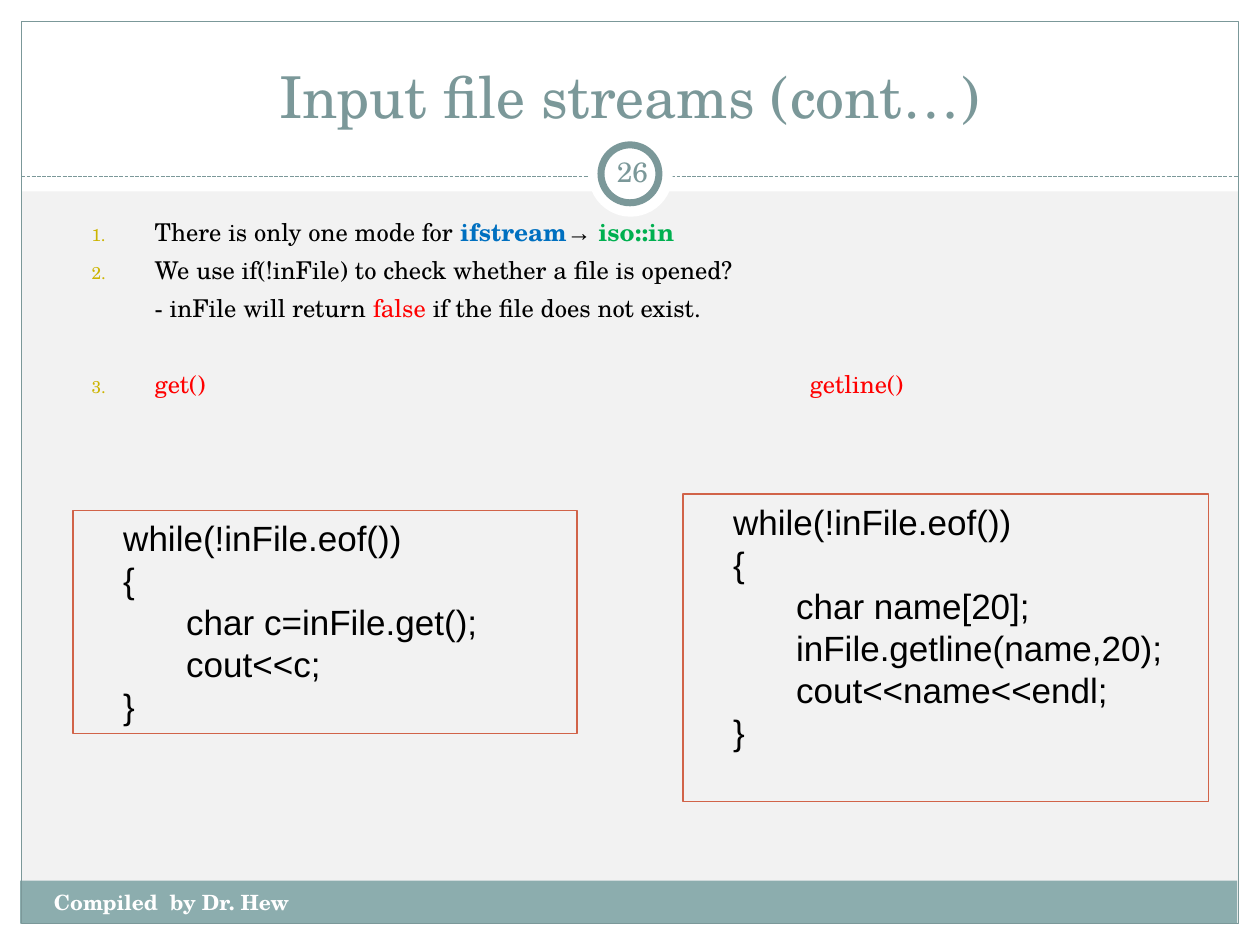
from lxml import etree
from pptx import Presentation, util as u
from pptx.dml.color import RGBColor
from pptx.enum import dml, shapes, text
from pptx.oxml import ns

SERIF, SANS = "TeX Gyre Schola", "Arial"
SLATE, TEAL, RUST = "7B9899", "8CADAE", "D16349"
WHITE, PAPER, BLACK, RED = "FFFFFF", "F2F2F2", "000000", "FF0000"
BLUE, GREEN, GOLD = "0070C0", "00B050", "CCB400"


def colour(value):
    return RGBColor.from_string(value)


def add_child(parent, tag, **attributes):
    return etree.SubElement(parent, ns.qn(tag), attributes)


def add_tab(para, position):
    stops = add_child(para._p.get_or_add_pPr(), "a:tabLst")
    add_child(stops, "a:tab", pos=str(u.Inches(position)), algn="l")


def indent(para, margin, first=0):
    properties = para._p.get_or_add_pPr()
    properties.set("marL", str(u.Inches(margin)))
    properties.set("indent", str(u.Inches(first)))


def number(para, start):
    properties = para._p.get_or_add_pPr()
    add_child(add_child(properties, "a:buClr"), "a:srgbClr", val=GOLD)
    add_child(properties, "a:buSzPct", val="70000")
    add_child(properties, "a:buAutoNum", type="arabicPeriod", startAt=str(start))


class SlideBuilder:
    def __init__(self, page):
        self.page = page
        page.background.fill.solid()
        page.background.fill.fore_color.rgb = colour(PAPER)

    def style(self, span, size, ink=BLACK, font=SERIF, bold=False):
        span.font.size = u.Pt(size)
        span.font.name = font
        span.font.bold = bold
        span.font.color.rgb = colour(ink)

    def shape(self, kind, place, fill=None, line=None, width=0.75):
        item = self.page.shapes.add_shape(kind, *map(u.Inches, place))
        item.shadow.inherit = False
        if fill:
            item.fill.solid()
            item.fill.fore_color.rgb = colour(fill)
        else:
            item.fill.background()
        if line:
            item.line.color.rgb = colour(line)
            item.line.width = u.Pt(width)
        else:
            item.line.fill.background()
        return item

    def rect(self, place, fill=None, line=None):
        return self.shape(shapes.MSO_SHAPE.RECTANGLE, place, fill, line)

    def circle(self, place, line=None):
        return self.shape(shapes.MSO_SHAPE.OVAL, place, WHITE, line, 4)

    def dashed_line(self, left, right, y):
        rule = self.page.shapes.add_connector(
            shapes.MSO_CONNECTOR.STRAIGHT, *map(u.Inches, (left, y, right, y)))
        rule.line.color.rgb = colour(SLATE)
        rule.line.width = u.Pt(0.75)
        rule.line.dash_style = dml.MSO_LINE.SQUARE_DOT
        add_child(rule._element.spPr, "a:effectLst")

    def frame(self, place, anchor=text.MSO_ANCHOR.TOP):
        box = self.page.shapes.add_textbox(*map(u.Inches, place))
        box.text_frame.word_wrap = True
        box.text_frame.vertical_anchor = anchor
        return box.text_frame

    def label(self, place, words, size, ink, align=text.PP_ALIGN.LEFT,
              anchor=text.MSO_ANCHOR.TOP, bold=False):
        frame = self.frame(place, anchor)
        frame.text = words
        para = frame.paragraphs[0]
        para.alignment = align
        self.style(para.runs[0], size, ink, bold=bold)
        return frame

    def numbered_list(self, place, items):
        """Each item is (number or None, space before, spans)."""
        frame = self.frame(place)
        for index, (start, gap, spans) in enumerate(items):
            para = frame.add_paragraph() if index else frame.paragraphs[0]
            para.space_before = u.Pt(gap)
            indent(para, 0.8, -0.5 if start else 0)
            if start:
                number(para, start)
                add_tab(para, 6)
            for words, *look in spans:
                span = para.add_run()
                span.text = words
                self.style(span, 14, *look)

    def code(self, place, source):
        frame = self.rect(place, line=RUST).text_frame
        frame.word_wrap = True
        frame.vertical_anchor = text.MSO_ANCHOR.TOP
        frame.text = source
        for para in frame.paragraphs:
            para.alignment = text.PP_ALIGN.LEFT
            indent(para, 0.3)
            add_tab(para, 1)
            self.style(para.runs[0], 20, font=SANS)


def main():
    deck = Presentation()
    deck.slide_width, deck.slide_height = u.Inches(10), u.Inches(7.5)
    slide = SlideBuilder(deck.slides.add_slide(deck.slide_layouts[6]))
    center, middle = text.PP_ALIGN.CENTER, text.MSO_ANCHOR.MIDDLE

    for margin in ((0, 7.33, 10, 0.17), (0, 0, 10, 1.52),
                   (0, 0, 0.17, 7.5), (9.83, 0, 0.17, 7.5)):
        slide.rect(margin, WHITE)
    slide.rect((0.16, 6.99, 9.66, 0.34), TEAL)
    slide.rect((0.17, 0.17, 9.66, 7.16), line=SLATE)
    slide.dashed_line(0.17, 9.83, 1.4)
    slide.circle((4.67, 1.05, 0.67, 0.67))
    slide.circle((4.77, 1.15, 0.46, 0.46), SLATE)

    slide.label((0.33, 0.25, 9.33, 0.83), "Input file streams (cont…)", 33, SLATE,
                center, text.MSO_ANCHOR.BOTTOM)
    slide.numbered_list((0.33, 1.67, 8.5, 2.08), [
        (1, 0, [("There is only one mode for ",), ("ifstream", BLUE, SERIF, True),
                ("→ ", BLACK, SANS), ("iso::in", GREEN, SERIF, True)]),
        (2, 5, [("We use if(!inFile) to check whether a file is opened?",)]),
        (None, 5, [("- inFile will return ",), ("false ", RED),
                   ("if the file does not exist.",)]),
        (3, 26.7, [("get()\tgetline()", RED)]),
    ])
    page_number = slide.label((4.77, 1.12, 0.5, 0.48), "26", 16, SLATE, center, middle)
    page_number.margin_left = page_number.margin_right = u.Inches(0.05)
    slide.label((0.33, 7.01, 3.17, 0.4), "Compiled  by Dr. Hew", 12, WHITE, bold=True)

    slide.code((0.58, 4.05, 4, 1.77),
               "while(!inFile.eof())\n{\n\tchar c=inFile.get();\n\tcout<<c;\n}")
    slide.code((5.42, 3.92, 4.17, 2.44),
               "while(!inFile.eof())\n{\n\tchar name[20];\n"
               "\tinFile.getline(name,20);\n\tcout<<name<<endl;\n}")
    deck.save("out.pptx")


if __name__ == "__main__":
    main()
